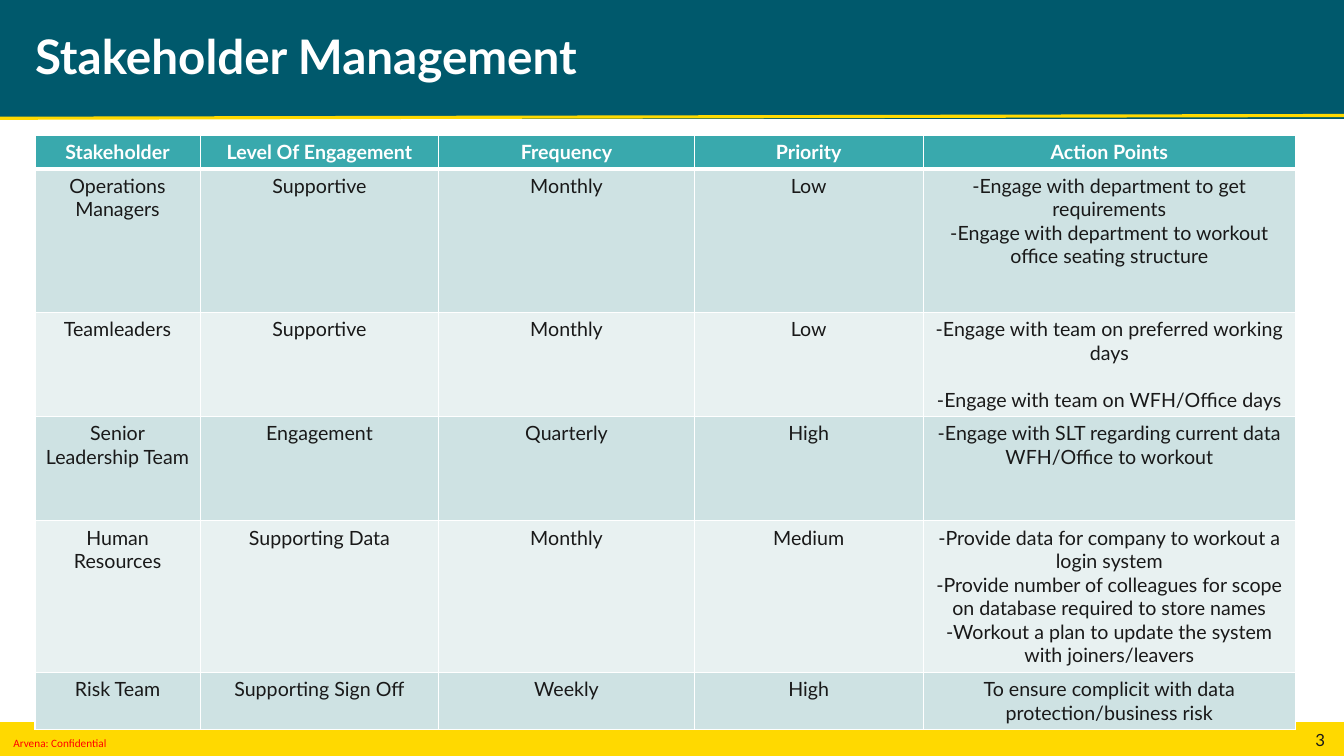
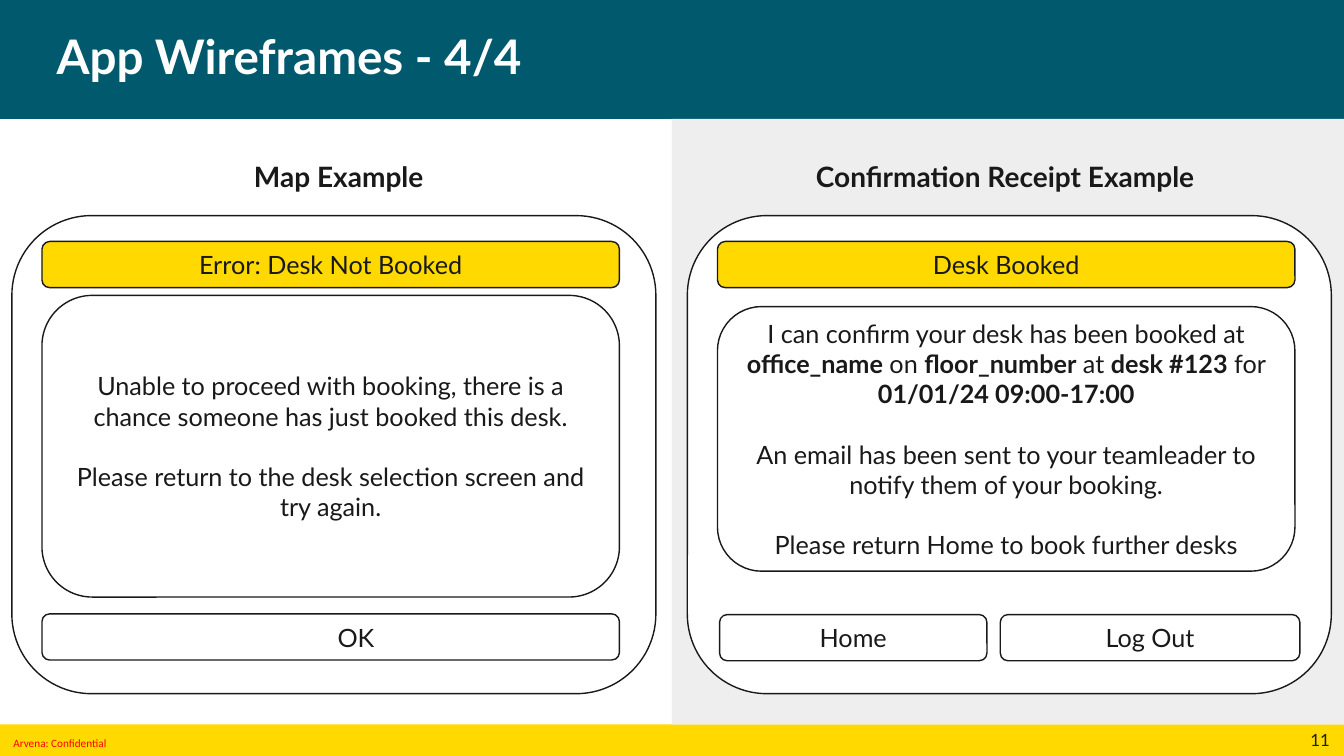
from lxml.etree import SubElement
from pptx import Presentation
from pptx.dml.color import RGBColor
from pptx.enum.shapes import MSO_CONNECTOR, MSO_SHAPE
from pptx.enum.text import MSO_ANCHOR, MSO_AUTO_SIZE, PP_ALIGN
from pptx.oxml import parse_xml
from pptx.oxml.ns import nsdecls, qn
from pptx.util import Pt

COLOURS = {
    "teal": "00596C",
    "yellow": "FFD900",
    "ink": "191919",
    "white": "FFFFFF",
    "grey": "EEEEEE",
    "red": "FF0000",
    "header": "39A9AD",
    "odd": "CEE2E3",
    "even": "E8F1F1",
}
WIDTH, HEIGHT = 960, 540
BAND_BOTTOM, FOOTER_TOP = 85, 517.5

STAKEHOLDERS = [
    ("Stakeholder", "Level Of Engagement", "Frequency", "Priority", "Action Points"),
    ("Operations Managers", "Supportive", "Monthly", "Low",
     "-Engage with department to get requirements\n"
     "-Engage with department to workout office seating structure"),
    ("Teamleaders", "Supportive", "Monthly", "Low",
     "-Engage with team on preferred working days\n\n"
     "-Engage with team on WFH/Office days"),
    ("Senior\nLeadership Team", "Engagement", "Quarterly", "High",
     "-Engage with SLT regarding current data WFH/Office to workout"),
    ("Human Resources", "Supporting Data", "Monthly", "Medium",
     "-Provide data for company to workout a login system\n"
     "-Provide number of colleagues for scope on database required to store names\n"
     "-Workout a plan to update the system with joiners/leavers"),
    ("Risk Team", "Supporting Sign Off", "Weekly", "High",
     "To ensure complicit with data protection/business risk"),
]
ERROR_MESSAGE = (
    "Unable to proceed with booking, there is a chance someone has just booked this desk.\n\n"
    "Please return to the desk selection screen and try again."
)
RECEIPT_MESSAGE = (
    "I can confirm your desk has been booked at *office_name* on *floor_number* at "
    "*desk #123* for *01/01/24 09:00-17:00*\n\n"
    "An email has been sent to your teamleader to notify them of your booking.\n\n"
    "Please return Home to book further desks"
)


def rgb(name):
    return RGBColor.from_string(COLOURS[name])


def write(frame, text, size=18, colour="ink", bold=False, font="Lato",
          align=PP_ALIGN.CENTER, anchor=MSO_ANCHOR.MIDDLE, spacing=1.0, margins=None):
    frame.word_wrap = True
    frame.auto_size = MSO_AUTO_SIZE.NONE
    frame.vertical_anchor = anchor
    if margins:
        (frame.margin_left, frame.margin_top,
         frame.margin_right, frame.margin_bottom) = [Pt(margin) for margin in margins]
    lines = [(line, block > 0 and index == 0)
             for block, lines_text in enumerate(text.split("\n\n"))
             for index, line in enumerate(lines_text.split("\n"))]
    for number, (line, spaced) in enumerate(lines):
        paragraph = frame.add_paragraph() if number else frame.paragraphs[0]
        paragraph.alignment = align
        paragraph.line_spacing = spacing
        if spaced:
            paragraph.space_before = Pt(size * 1.2)
        for position, part in enumerate(line.split("*")):
            if part:
                run = paragraph.add_run()
                run.text = part
                run.font.name = font
                run.font.size = Pt(size)
                run.font.bold = bold or position % 2 == 1
                run.font.color.rgb = rgb(colour)


class Deck:
    def __init__(self):
        self.presentation = Presentation()
        self.presentation.slide_width = Pt(WIDTH)
        self.presentation.slide_height = Pt(HEIGHT)
        self.slide = None

    def start(self, title, left, number):
        self.slide = self.presentation.slides.add_slide(self.presentation.slide_layouts[5])
        self.box(0, FOOTER_TOP, WIDTH, HEIGHT - FOOTER_TOP, "yellow")
        self.box(0, 0, WIDTH, BAND_BOTTOM, "teal")
        self.label("Arvena: Confidential", 9.5, 522, 90, 18, size=8, colour="red",
                   font="Calibri", align=PP_ALIGN.LEFT, margins=(0, 0, 0, 0))
        self.label(number, 920, FOOTER_TOP, 40, 22.5, size=12, margins=(6, 3.6, 0, 3.6))
        heading = self.slide.shapes.title
        heading.left, heading.top, heading.width, heading.height = (
            Pt(left), Pt(0), Pt(WIDTH - 2 * left), Pt(BAND_BOTTOM))
        write(heading.text_frame, title, size=34, colour="white", bold=True,
              align=PP_ALIGN.LEFT, spacing=0.9, margins=(0, 3.6, 0, 3.6))
        self.slide.shapes._spTree.append(heading._element)

    def label(self, text, left, top, width, height, **style):
        holder = self.slide.shapes.add_textbox(Pt(left), Pt(top), Pt(width), Pt(height))
        write(holder.text_frame, text, **style)

    def box(self, left, top, width, height, fill, line=None, text="",
            kind=MSO_SHAPE.RECTANGLE, **style):
        panel = self.slide.shapes.add_shape(kind, Pt(left), Pt(top), Pt(width), Pt(height))
        panel.shadow.inherit = False
        panel.fill.solid()
        panel.fill.fore_color.rgb = rgb(fill)
        if line:
            panel.line.color.rgb = rgb(line)
            panel.line.width = Pt(1)
        else:
            panel.line.fill.background()
        if text:
            write(panel.text_frame, text, **style)

    def rounded(self, left, top, width, height, text="", fill="white", **style):
        self.box(left, top, width, height, fill, "ink", text,
                 MSO_SHAPE.ROUNDED_RECTANGLE, **style)

    def rule(self, start_y, end_y):
        edge = self.slide.shapes.add_connector(
            MSO_CONNECTOR.STRAIGHT, Pt(0), Pt(start_y), Pt(WIDTH), Pt(end_y))
        edge.line.color.rgb = rgb("yellow")
        edge.line.width = Pt(2.25)
        SubElement(edge._element.spPr, qn("a:effectLst"))

    def borders(self, cell, bottom):
        properties = cell._tc.get_or_add_tcPr()
        for index, (side, weight) in enumerate(
                [("L", 1), ("R", 1), ("T", 1), ("B", bottom)]):
            properties.insert(index, parse_xml(
                f'<a:ln{side} {nsdecls("a")} w="{Pt(weight)}"><a:solidFill>'
                f'<a:srgbClr val="{COLOURS["white"]}"/></a:solidFill></a:ln{side}>'))

    def table(self, rows, left, top, widths, heights):
        grid = self.slide.shapes.add_table(
            len(rows), len(widths), Pt(left), Pt(top),
            Pt(sum(widths)), Pt(sum(heights))).table
        for column, width in zip(grid.columns, widths):
            column.width = Pt(width)
        for index, (row, height) in enumerate(zip(rows, heights)):
            grid.rows[index].height = Pt(height)
            is_header = index == 0
            fill = "header" if is_header else "odd" if index % 2 else "even"
            for column, text in enumerate(row):
                cell = grid.cell(index, column)
                cell.fill.solid()
                cell.fill.fore_color.rgb = rgb(fill)
                self.borders(cell, 3 if is_header else 1)
                write(cell.text_frame, text, size=14, bold=is_header,
                      colour="white" if is_header else "ink", anchor=None)

    def wireframe(self, left, heading, heading_left, banner, message, message_top,
                  message_height):
        self.label(heading, heading_left, 113, 402, 41, size=20, bold=True, spacing=0.9,
                   anchor=MSO_ANCHOR.TOP, margins=(0, 3.6, 0, 3.6))
        self.rounded(left, 154, 460, 341.5)
        self.rounded(left + 21.5, 172.5, 412.5, 33, banner, "yellow")
        self.rounded(left + 21.5, message_top, 412.5, message_height, message)


def main():
    deck = Deck()

    deck.start("Stakeholder Management", 25, "3")
    deck.rule(517, 517)
    deck.rule(84.5, 82.5)
    deck.table(STAKEHOLDERS, 25, 96.5, (118, 170.5, 182.5, 163.5, 266),
               (23.5, 102.5, 74.5, 74.5, 108, 41))

    deck.start("App Wireframes - 4/4", 40.5, "11")
    deck.box(WIDTH / 2, BAND_BOTTOM, WIDTH / 2, FOOTER_TOP - BAND_BOTTOM, "grey")
    deck.wireframe(8.5, "Map Example", 41, "Error: Desk Not Booked",
                   ERROR_MESSAGE, 211, 215.5)
    deck.rounded(30, 438.5, 412.5, 33, "OK", margins=(43.2, 3.6, 7.2, 3.6))
    deck.wireframe(491, "Confirmation Receipt Example", 517, "Desk Booked",
                   RECEIPT_MESSAGE, 219, 189)
    deck.rounded(514, 439, 191, 33, "Home")
    deck.rounded(714.5, 439, 214, 33, "Log Out")

    deck.presentation.save("out.pptx")


if __name__ == "__main__":
    main()
